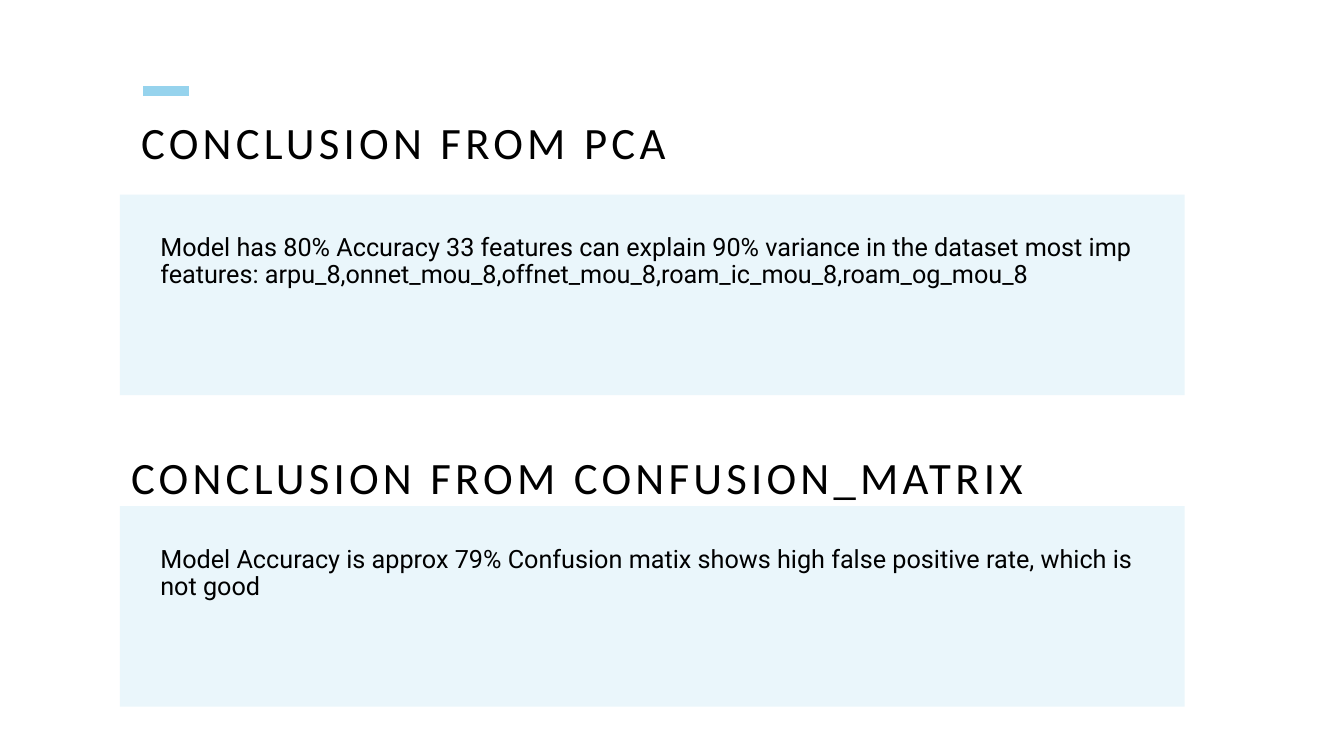
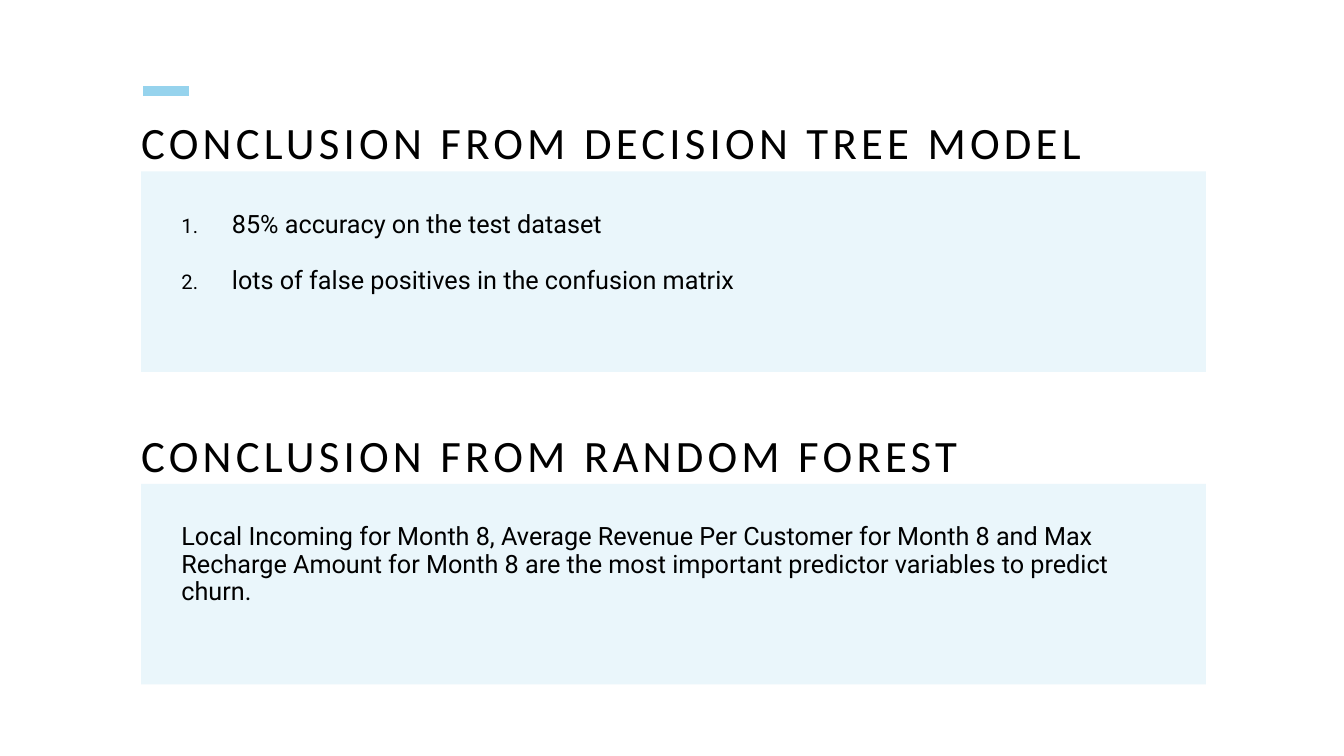
from dataclasses import dataclass

import lxml.etree
import pptx
import pptx.dml.color
import pptx.enum.shapes
import pptx.enum.text
import pptx.oxml.ns
import pptx.presentation
import pptx.shapes.base
import pptx.slide
import pptx.text.text
import pptx.util

Inches = pptx.util.Inches
Pt = pptx.util.Pt
qn = pptx.oxml.ns.qn

BLACK = pptx.dml.color.RGBColor(0x00, 0x00, 0x00)
ACCENT = pptx.dml.color.RGBColor(0x96, 0xD3, 0xED)
PANEL = pptx.dml.color.RGBColor(0xEA, 0xF6, 0xFB)

HEADING_FONT = "Calibri"
BODY_FONT = "Roboto"
HEADING_HEIGHT = 1.0
HEADING_WIDTH = 10.74
PANEL_WIDTH = 10.56
PANEL_HEIGHT = 1.99
TITLE_AND_CONTENT = 1


@dataclass(frozen=True)
class Section:
    heading: str
    findings: tuple[str, ...]
    heading_left: float
    heading_top: float
    panel_left: float
    panel_top: float
    heading_width: float = HEADING_WIDTH
    numbered: bool = False
    space_after: float = 0


CONCLUSIONS: tuple[tuple[Section, Section], ...] = (
    (
        Section(
            "CONCLUSION FROM PCA",
            ("Model has 80% Accuracy 33 features can explain 90% variance in the dataset "
             "most imp features: arpu_8,onnet_mou_8,offnet_mou_8,roam_ic_mou_8,roam_og_mou_8",),
            1.4, 1.2, 1.19, 1.93,
        ),
        Section(
            "CONCLUSION FROM CONFUSION_MATRIX",
            ("Model Accuracy is approx 79% Confusion matix shows high false positive rate, "
             "which is not good",),
            1.3, 4.52, 1.19, 5.02,
        ),
    ),
    (
        Section(
            "CONCLUSION FROM DECISION TREE MODEL",
            ("85% accuracy on the test dataset",
             "lots of false positives in the confusion matrix"),
            1.4, 1.2, 1.4, 1.7, heading_width=11.47, numbered=True, space_after=6.8,
        ),
        Section(
            "CONCLUSION FROM RANDOM FOREST",
            ("Local Incoming for Month 8, Average Revenue Per Customer for Month 8 and "
             "Max Recharge Amount for Month 8 are the most important predictor variables "
             "to predict churn.",),
            1.4, 4.3, 1.4, 4.8, space_after=6.8,
        ),
    ),
)


def place(shape: pptx.shapes.base.BaseShape, left: float, top: float,
          width: float, height: float) -> None:
    shape.left, shape.top = Inches(left), Inches(top)
    shape.width, shape.height = Inches(width), Inches(height)


def prepare_frame(frame: pptx.text.text.TextFrame, inset: float) -> None:
    frame.word_wrap = True
    frame.auto_size = pptx.enum.text.MSO_AUTO_SIZE.NONE
    frame.vertical_anchor = pptx.enum.text.MSO_ANCHOR.TOP
    frame.margin_left = frame.margin_right = Inches(inset)
    frame.margin_top = frame.margin_bottom = Inches(inset)


def style_paragraph(paragraph: pptx.text.text._Paragraph, font_name: str, size: float,
                    before: float = 0, after: float = 0) -> None:
    paragraph.alignment = pptx.enum.text.PP_ALIGN.LEFT
    paragraph.line_spacing = 0.9
    paragraph.space_before = Pt(before)
    paragraph.space_after = Pt(after)
    for run in paragraph.runs:
        run.font.name = font_name
        run.font.size = Pt(size)
        run.font.color.rgb = BLACK


def set_numbering(paragraph: pptx.text.text._Paragraph, numbered: bool) -> None:
    """Number the paragraph with a hanging indent, or clear the template's bullet."""
    properties = paragraph._p.get_or_add_pPr()
    indent = Inches(0.5) if numbered else 0
    properties.set("marL", str(indent))
    properties.set("indent", str(-indent))
    if not numbered:
        lxml.etree.SubElement(properties, qn("a:buNone"))
        return
    color = lxml.etree.SubElement(properties, qn("a:buClr"))
    lxml.etree.SubElement(color, qn("a:srgbClr"), val=str(BLACK))
    lxml.etree.SubElement(properties, qn("a:buSzPct"), val="80000")
    lxml.etree.SubElement(properties, qn("a:buFont"), typeface=BODY_FONT)
    lxml.etree.SubElement(properties, qn("a:buAutoNum"), type="arabicPeriod")


def draw_accent(slide: pptx.slide.Slide) -> None:
    accent = slide.shapes.add_connector(
        pptx.enum.shapes.MSO_CONNECTOR.STRAIGHT,
        Inches(1.42), Inches(0.9), Inches(1.87), Inches(0.9))
    accent.line.color.rgb = ACCENT
    accent.line.width = Pt(7)
    lxml.etree.SubElement(accent._element.spPr, qn("a:effectLst"))


def fill_heading(heading: pptx.shapes.base.BaseShape, section: Section) -> None:
    place(heading, section.heading_left, section.heading_top,
          section.heading_width, HEADING_HEIGHT)
    frame = heading.text_frame
    prepare_frame(frame, 0)
    frame.text = section.heading
    paragraph = frame.paragraphs[0]
    style_paragraph(paragraph, HEADING_FONT, 32)
    for run in paragraph.runs:
        run.font._element.set("spc", "300")


def fill_panel(panel: pptx.shapes.base.BaseShape, section: Section) -> None:
    place(panel, section.panel_left, section.panel_top, PANEL_WIDTH, PANEL_HEIGHT)
    panel.fill.solid()
    panel.fill.fore_color.rgb = PANEL
    panel.line.fill.background()
    frame = panel.text_frame
    prepare_frame(frame, 0.4)
    frame.text = "\n".join(section.findings)
    for paragraph in frame.paragraphs:
        style_paragraph(paragraph, BODY_FONT, 18, before=14, after=section.space_after)
        set_numbering(paragraph, section.numbered)


def add_conclusions(presentation: pptx.presentation.Presentation,
                    upper: Section, lower: Section) -> None:
    slide = presentation.slides.add_slide(presentation.slide_layouts[TITLE_AND_CONTENT])
    draw_accent(slide)
    fill_heading(slide.shapes.title, upper)
    fill_panel(slide.placeholders[1], upper)

    lower_heading = slide.shapes.add_textbox(0, 0, 0, 0)
    fill_heading(lower_heading, lower)
    lower_panel = slide.shapes.add_shape(
        pptx.enum.shapes.MSO_SHAPE.RECTANGLE, 0, 0, 0, 0)
    lower_panel.shadow.inherit = False
    fill_panel(lower_panel, lower)


def main() -> None:
    presentation = pptx.Presentation()
    presentation.slide_width = Inches(13.33)
    presentation.slide_height = Inches(7.5)
    for upper, lower in CONCLUSIONS:
        add_conclusions(presentation, upper, lower)
    presentation.save("out.pptx")


if __name__ == "__main__":
    main()
